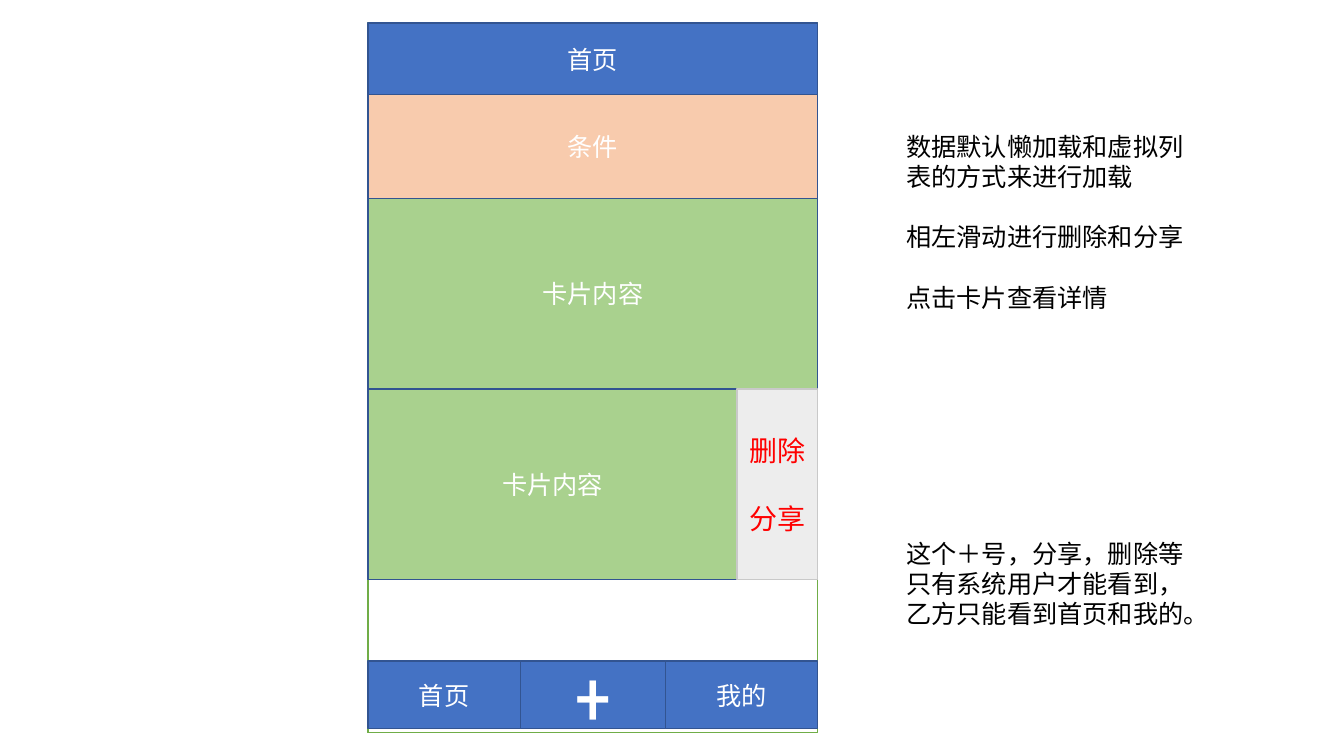
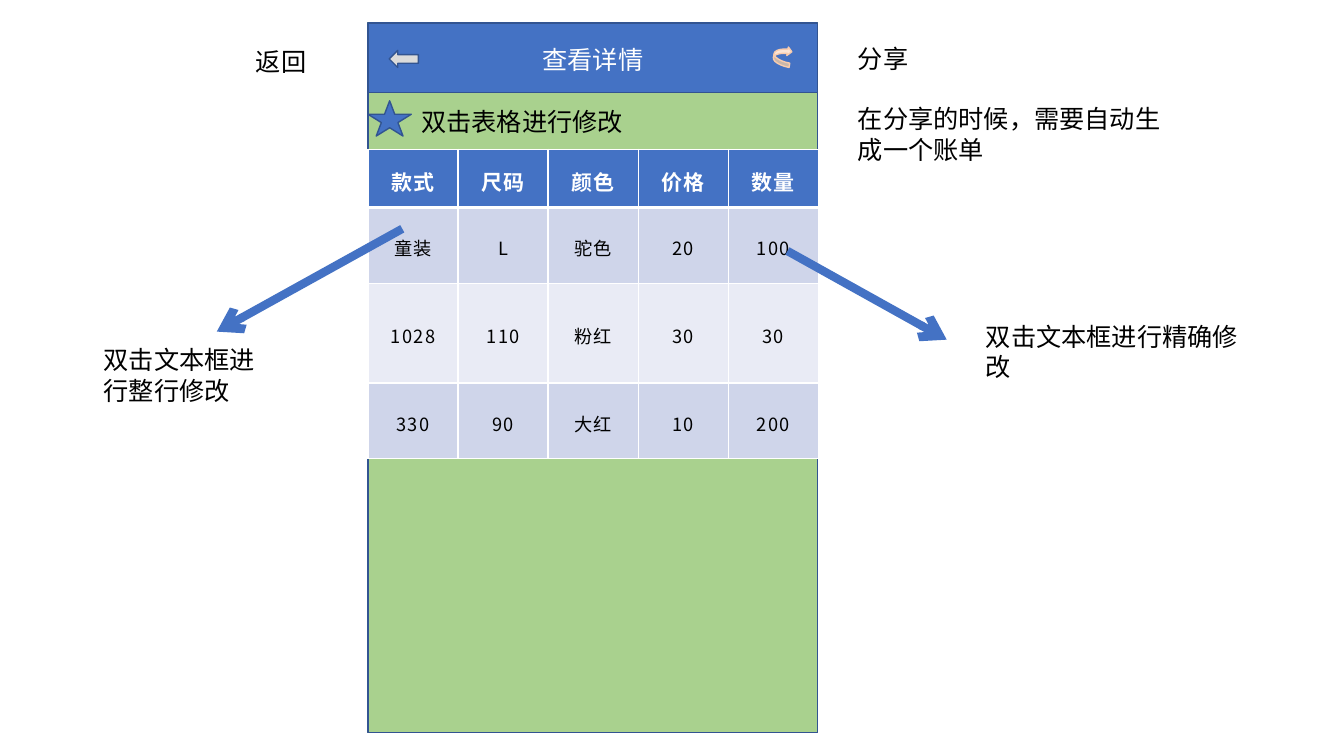
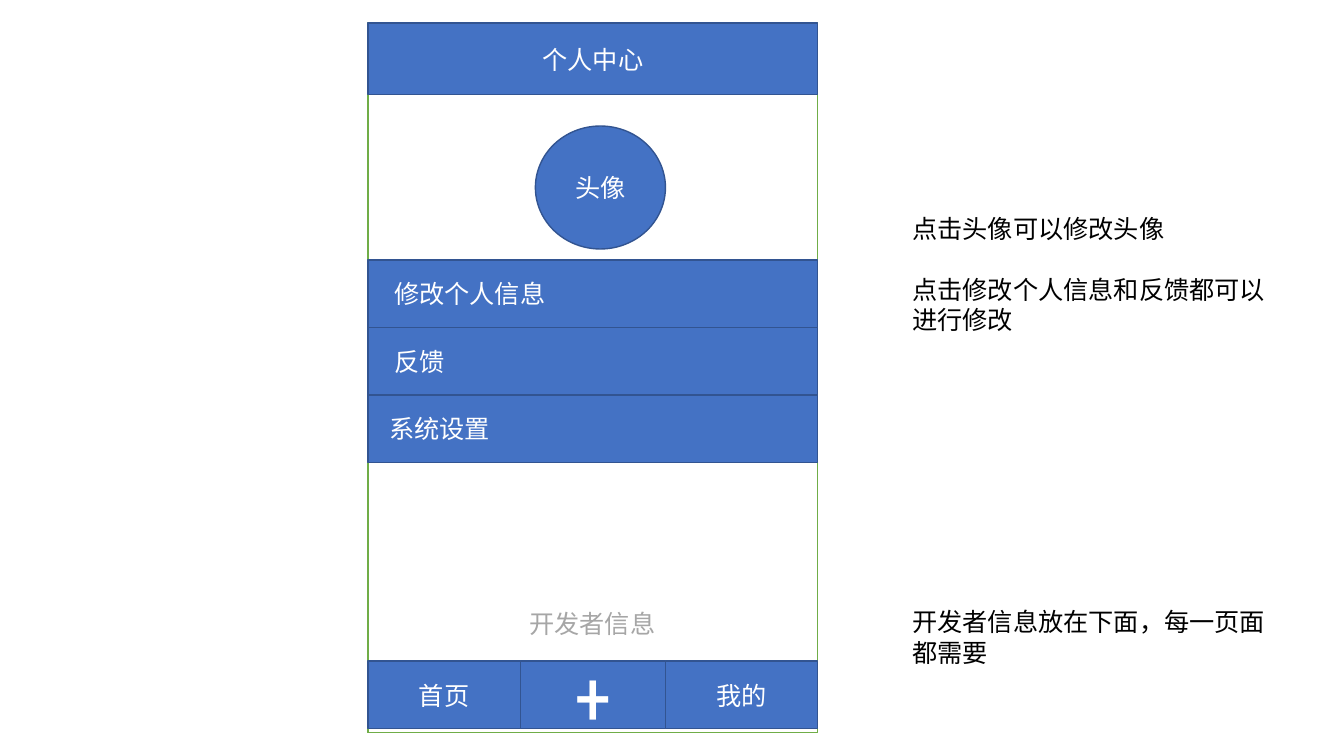
import pptx
import pptx.util
import pptx.dml.color
import pptx.enum.dml
import pptx.enum.shapes
import pptx.enum.text
import pptx.oxml
import pptx.oxml.ns

Inches = pptx.util.Inches
Pt = pptx.util.Pt
SHAPE = pptx.enum.shapes.MSO_SHAPE
ALIGN = pptx.enum.text.PP_ALIGN
MIDDLE = pptx.enum.text.MSO_ANCHOR.MIDDLE

# Shared look
FONT = "Noto Sans CJK SC"
PLUS_FONT = "Roboto Condensed"
LINE_RATIO = 1.2
COLORS = {
    "white": "FFFFFF", "black": "000000", "blue": "4472C4", "navy": "325491",
    "green": "A9D18E", "frame": "70AD47", "peach": "F8CBAD", "cream": "FBE5D6",
    "pale": "EDEDED", "silver": "C9C9C9", "gray": "DBDBDB", "muted": "A6A6A6",
    "red": "FF0000", "band_dark": "CFD5EA", "band_light": "E9EBF5",
}

# The phone screen that every slide shows
LEFT, TOP, WIDTH, HEIGHT = 3.65, 0.23, 4.46, 7.04
HEADER_HEIGHT = 0.71
BAR_TOP, BAR_HEIGHT = 6.56, 0.67


def color(name):
    return pptx.dml.color.RGBColor.from_string(COLORS[name])


def add_run(paragraph, text, size, ink, font=FONT, bold=False):
    run = paragraph.add_run()
    run.text = text
    run.font.size = Pt(size)
    run.font.bold = bold
    run.font.color.rgb = color(ink)
    run.font.name = font
    properties = run.font._element
    east_asian = properties.makeelement(pptx.oxml.ns.qn("a:ea"), {"typeface": font})
    properties.append(east_asian)
    return run


def write_lines(frame, lines, size, ink, align, gaps=()):
    """Write one paragraph per line; gaps are counted in lines of text."""
    frame.word_wrap = True
    line_height = size * LINE_RATIO
    for index, line in enumerate(lines):
        paragraph = frame.paragraphs[0] if index == 0 else frame.add_paragraph()
        paragraph.alignment = align
        paragraph.line_spacing = Pt(line_height)
        if index:
            paragraph.space_before = Pt(line_height * gaps[index - 1])
        add_run(paragraph, line, size, ink)


def add_block(slide, left, top, width, height, fill="blue", line="navy",
              kind=SHAPE.RECTANGLE):
    shape = slide.shapes.add_shape(
        kind, Inches(left), Inches(top), Inches(width), Inches(height))
    shape.shadow.inherit = False
    shape.fill.solid()
    shape.fill.fore_color.rgb = color(fill)
    shape.line.color.rgb = color(line)
    shape.line.width = Pt(1)
    return shape


def add_label(shape, *lines, size=18, ink="white", align=ALIGN.CENTER, gaps=()):
    shape.text_frame.vertical_anchor = MIDDLE
    write_lines(shape.text_frame, lines, size, ink, align, gaps)


def add_note(slide, left, top, width, height, *lines, gaps=()):
    box = slide.shapes.add_textbox(
        Inches(left), Inches(top), Inches(width), Inches(height))
    write_lines(box.text_frame, lines, 18, "black", ALIGN.LEFT, gaps)


def add_arrow(slide, start, end):
    arrow = slide.shapes.add_connector(
        pptx.enum.shapes.MSO_CONNECTOR.STRAIGHT,
        *(Inches(value) for value in start + end))
    arrow.line.color.rgb = color("blue")
    arrow.line.width = Pt(6)
    line = arrow.line._get_or_add_ln()
    line.append(line.makeelement(pptx.oxml.ns.qn("a:tailEnd"), {"type": "arrow"}))
    properties = arrow._element.spPr
    properties.append(properties.makeelement(pptx.oxml.ns.qn("a:effectLst"), {}))


def add_screen(presentation, title):
    slide = presentation.slides.add_slide(presentation.slide_layouts[6])
    add_block(slide, LEFT, TOP, WIDTH, HEIGHT, "white", "frame")
    add_label(add_block(slide, LEFT, TOP, WIDTH, HEADER_HEIGHT), title)
    return slide


def add_tab_bar(slide):
    add_block(slide, LEFT, BAR_TOP, WIDTH, 0.71, "white", "frame")
    add_label(add_block(slide, LEFT, BAR_TOP, 1.51, BAR_HEIGHT), "首页")
    add_label(add_block(slide, 6.6, BAR_TOP, 1.51, BAR_HEIGHT), "我的")
    plus = add_block(slide, 5.16, BAR_TOP, 1.44, BAR_HEIGHT)
    plus.text_frame.vertical_anchor = MIDDLE
    paragraph = plus.text_frame.paragraphs[0]
    paragraph.alignment = ALIGN.CENTER
    add_run(paragraph, "+", 54, "white", PLUS_FONT)


def add_cell_borders(cell, bottom_width):
    properties = cell._tc.get_or_add_tcPr()
    widths = {"lnL": 1, "lnR": 1, "lnT": 1, "lnB": bottom_width}
    for index, (side, width) in enumerate(widths.items()):
        border = pptx.oxml.parse_xml(
            f'<a:{side} {pptx.oxml.ns.nsdecls("a")} w="{Pt(width)}"><a:solidFill>'
            f'<a:srgbClr val="{COLORS["white"]}"/></a:solidFill></a:{side}>')
        properties.insert(index, border)


def add_goods_table(slide, left, top, column_width, row_heights, rows):
    frame = slide.shapes.add_table(
        len(rows), len(rows[0]), Inches(left), Inches(top),
        Inches(column_width * len(rows[0])), Inches(sum(row_heights)))
    table = frame.table
    for column in table.columns:
        column.width = Inches(column_width)
    for row_index, values in enumerate(rows):
        table.rows[row_index].height = Inches(row_heights[row_index])
        header = row_index == 0
        band = "band_dark" if row_index % 2 else "band_light"
        for column_index, value in enumerate(values):
            cell = table.cell(row_index, column_index)
            cell.fill.solid()
            cell.fill.fore_color.rgb = color("blue" if header else band)
            cell.vertical_anchor = MIDDLE
            cell.margin_left = cell.margin_right = Inches(0.03)
            cell.margin_top = cell.margin_bottom = Inches(0.01)
            add_cell_borders(cell, 3 if header or row_index == 0 else 1)
            paragraph = cell.text_frame.paragraphs[0]
            paragraph.alignment = ALIGN.CENTER
            paragraph.line_spacing = LINE_RATIO
            run = add_run(paragraph, value, 15 if header else 13,
                          "white" if header else "black", bold=header)
            run.font._element.set("spc", "120")


def build_home(presentation):
    slide = add_screen(presentation, "首页")
    add_tab_bar(slide)

    # Filter and cards
    card_height = 1.89
    first_card = 1.97
    second_card = first_card + card_height
    add_label(add_block(slide, LEFT, 0.94, WIDTH, 1.03, "peach"), "条件")
    for top, width in ((first_card, WIDTH), (second_card, 3.66)):
        add_label(add_block(slide, LEFT, top, width, card_height, "green"), "卡片内容")
    actions = add_block(slide, 7.31, second_card, 0.8, card_height, "pale", "silver")
    add_label(actions, "删除", "分享", size=20, ink="red", gaps=(1,))

    # Notes
    add_note(slide, 8.89, 1.25, 3.15, 1.92, "数据默认懒加载和虚拟列表的方式来进行加载",
             "相左滑动进行删除和分享", "点击卡片查看详情", gaps=(1, 1))
    add_note(slide, 8.89, 5.29, 3.15, 1.01,
             "这个＋号，分享，删除等只有系统用户才能看到，乙方只能看到首页和我的。")


def build_details(presentation):
    slide = add_screen(presentation, "查看详情")
    add_block(slide, LEFT, 0.92, WIDTH, 6.35, "green")

    # Header icons and their notes
    add_block(slide, 3.86, 0.5, 0.29, 0.17, "gray", kind=SHAPE.LEFT_ARROW)
    add_note(slide, 2.44, 0.41, 3.14, 0.4, "返回")
    share = add_block(slide, 7.66, 0.47, 0.2, 0.17, "cream", "peach",
                      SHAPE.CURVED_DOWN_ARROW)
    share.rotation = 280.3
    add_note(slide, 8.41, 0.38, 3.33, 1.31, "分享",
             "在分享的时候，需要自动生成一个账单", gaps=(1,))

    # Goods
    add_goods_table(slide, LEFT, 1.48, 0.893, (0.58, 0.75, 0.99, 0.75), (
        ("款式", "尺码", "颜色", "价格", "数量"),
        ("童装", "L", "驼色", "20", "100"),
        ("1028", "110", "粉红", "30", "30"),
        ("330", "90", "大红", "10", "200"),
    ))
    add_note(slide, 4.08, 1.01, 3.79, 0.4, "双击表格进行修改")
    add_block(slide, LEFT, 1, 0.43, 0.35, kind=SHAPE.STAR_5_POINT)

    # Editing hints
    add_arrow(slide, (7.81, 2.49), (9.39, 3.37))
    add_note(slide, 9.68, 3.14, 2.93, 0.71, "双击文本框进行精确修改")
    add_arrow(slide, (3.99, 2.27), (2.15, 3.29))
    add_note(slide, 0.93, 3.37, 1.93, 0.71, "双击文本框进行整行修改")


def build_profile(presentation):
    slide = add_screen(presentation, "个人中心")
    add_tab_bar(slide)
    add_label(add_block(slide, 5.31, 1.25, 1.29, 1.22, kind=SHAPE.OVAL), "头像")

    # Menu
    menu = (("修改个人信息", 0.26), ("反馈", 0.26), ("系统设置", 0.21))
    for index, (text, inset) in enumerate(menu):
        item = add_block(slide, LEFT, 2.58 + index * BAR_HEIGHT, WIDTH, BAR_HEIGHT)
        item.text_frame.margin_left = Inches(inset)
        add_label(item, text, align=ALIGN.LEFT)
    developer = add_block(slide, 3.83, 5.85, 4.09, 0.67, "white", "white")
    add_label(developer, "开发者信息", ink="muted")

    # Notes
    add_note(slide, 8.95, 2.07, 3.85, 4.64, "点击头像可以修改头像",
             "点击修改个人信息和反馈都可以进行修改",
             "开发者信息放在下面，每一页面都需要", gaps=(1, 9))


def main():
    presentation = pptx.Presentation()
    presentation.slide_width = Inches(13.33)
    presentation.slide_height = Inches(7.5)
    build_home(presentation)
    build_details(presentation)
    build_profile(presentation)
    presentation.save("out.pptx")


main()
